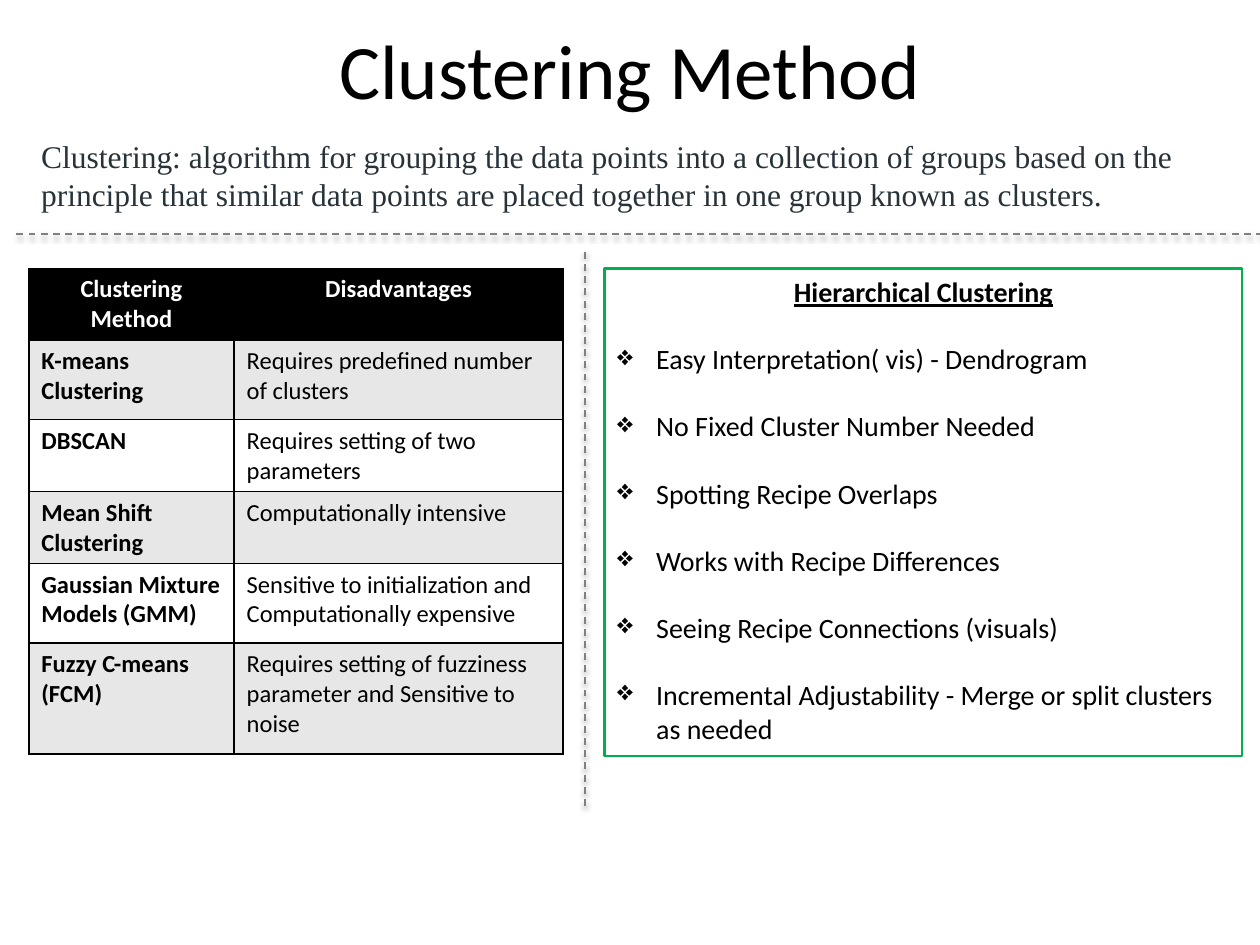
from dataclasses import dataclass

from lxml import etree
from pptx import Presentation
from pptx.dml.color import RGBColor
from pptx.enum.dml import MSO_LINE
from pptx.enum.shapes import MSO_CONNECTOR, MSO_SHAPE
from pptx.enum.text import MSO_ANCHOR, PP_ALIGN
from pptx.oxml import parse_xml
from pptx.oxml.ns import nsdecls, qn
from pptx.util import Cm, Pt

CENTER, LEFT = PP_ALIGN.CENTER, PP_ALIGN.LEFT
TOP, MIDDLE = MSO_ANCHOR.TOP, MSO_ANCHOR.MIDDLE
DASH = MSO_LINE.DASH
STRAIGHT = MSO_CONNECTOR.STRAIGHT
RECTANGLE = MSO_SHAPE.RECTANGLE

BLACK, WHITE, BAND = "000000", "FFFFFF", "E7E7E7"
SLATE, GRAY, GREEN = "273239", "808080", "00B050"


@dataclass
class Style:
    size: float
    color: str = BLACK
    font: str = "Calibri"
    bold: bool = False
    underline: bool = False
    align: PP_ALIGN = LEFT


@dataclass
class Area:
    left: float
    top: float
    width: float
    height: float

    def lengths(self) -> tuple:
        return Cm(self.left), Cm(self.top), Cm(self.width), Cm(self.height)


@dataclass
class Method:
    name: str
    drawback: str
    height: float


@dataclass
class Divider:
    x1: float
    y1: float
    x2: float
    y2: float


HEADER = Method("Clustering Method", "Disadvantages", 1.45)
METHODS = [
    Method("K-means Clustering", "Requires predefined number of clusters", 1.6),
    Method("DBSCAN", "Requires setting of two parameters", 1.45),
    Method("Mean Shift Clustering", "Computationally intensive", 1.45),
    Method("Gaussian Mixture Models (GMM)",
           "Sensitive to initialization and Computationally expensive", 1.6),
    Method("Fuzzy C-means (FCM)",
           "Requires setting of fuzziness parameter and Sensitive to noise", 2.24),
]
COLUMN_WIDTHS = (4.14, 6.63)
BENEFITS = [
    "Easy Interpretation( vis) - Dendrogram\u00a0".strip(),
    "No Fixed Cluster Number Needed",
    "Spotting Recipe Overlaps",
    "Works with Recipe Differences",
    "Seeing Recipe Connections (visuals)",
    "Incremental Adjustability - Merge or split clusters as needed",
]
DIVIDERS = [Divider(11.79, 5.08, 11.79, 16.26), Divider(0.33, 4.72, 25.4, 4.72)]


def rgb(code: str) -> RGBColor:
    return RGBColor.from_string(code)


def write(para, text: str, style: Style) -> None:
    para.text = text
    para.alignment = style.align
    for span in para.runs:
        font = span.font
        font.name, font.size = style.font, Pt(style.size)
        font.bold, font.underline = style.bold, style.underline
        font.color.rgb = rgb(style.color)


def add_text(page, area: Area, text: str, style: Style, anchor=TOP) -> None:
    frame = page.shapes.add_textbox(*area.lengths()).text_frame
    frame.word_wrap = True
    frame.vertical_anchor = anchor
    write(frame.paragraphs[0], text, style)


def add_borders(cell, color: str, width: float) -> None:
    properties = cell._tc.get_or_add_tcPr()
    for side in ("lnL", "lnR", "lnT", "lnB"):
        properties.append(parse_xml(
            f'<a:{side} {nsdecls("a")} w="{Pt(width)}"><a:solidFill>'
            f'<a:srgbClr val="{color}"/></a:solidFill></a:{side}>'))


def fill_cell(cell, text: str, style: Style, fill: str) -> None:
    add_borders(cell, BLACK, 1)
    cell.fill.solid()
    cell.fill.fore_color.rgb = rgb(fill)
    write(cell.text_frame.paragraphs[0], text, style)


def add_methods(page, left: float, top: float) -> None:
    rows = [HEADER, *METHODS]
    area = Area(left, top, sum(COLUMN_WIDTHS), sum(row.height for row in rows))
    table = page.shapes.add_table(len(rows), 2, *area.lengths()).table
    for column, width in zip(table.columns, COLUMN_WIDTHS):
        column.width = Cm(width)
    for index, row in enumerate(rows):
        table.rows[index].height = Cm(row.height)
        for column, text in enumerate((row.name, row.drawback)):
            if index == 0:
                style, fill = Style(14, WHITE, bold=True, align=CENTER), BLACK
            else:
                style = Style(14, bold=column == 0)
                fill = BAND if index % 2 else WHITE
            fill_cell(table.cell(index, column), text, style, fill)


def add_divider(page, divider: Divider) -> None:
    line = page.shapes.add_connector(
        STRAIGHT, Cm(divider.x1), Cm(divider.y1), Cm(divider.x2), Cm(divider.y2))
    line.line.color.rgb = rgb(GRAY)
    line.line.width = Pt(1)
    line.line.dash_style = DASH
    line._element.spPr.append(parse_xml(
        f'<a:effectLst {nsdecls("a")}><a:outerShdw blurRad="{Pt(3.1)}" '
        f'dist="{Pt(1.6)}" dir="5400000" rotWithShape="0"><a:srgbClr val="{BLACK}">'
        '<a:alpha val="38000"/></a:srgbClr></a:outerShdw></a:effectLst>'))


def add_bullet(para, symbol: str, indent: float) -> None:
    properties = para._p.get_or_add_pPr()
    properties.set("marL", str(Cm(indent)))
    properties.set("indent", str(-Cm(indent)))
    etree.SubElement(properties, qn("a:buChar")).set("char", symbol)


def add_benefits(page, area: Area) -> None:
    panel = page.shapes.add_shape(RECTANGLE, *area.lengths())
    panel.shadow.inherit = False
    panel.fill.background()
    panel.line.color.rgb = rgb(GREEN)
    panel.line.width = Pt(1.5)
    frame = panel.text_frame
    frame.word_wrap = True
    frame.vertical_anchor = TOP
    heading = Style(16, bold=True, underline=True, align=CENTER)
    write(frame.paragraphs[0], "Hierarchical Clustering", heading)
    for benefit in BENEFITS:
        para = frame.add_paragraph()
        add_bullet(para, "❖", 0.79)
        para.space_before = Pt(19.2)
        write(para, benefit, Style(16))


def main() -> None:
    deck = Presentation()
    deck.slide_width, deck.slide_height = Cm(25.4), Cm(19.05)
    page = deck.slides.add_slide(deck.slide_layouts[6])
    add_text(page, Area(0, 0, 25.4, 2.79), "Clustering Method",
             Style(44, align=CENTER), MIDDLE)
    add_methods(page, 0.58, 5.41)
    add_text(page, Area(0.58, 2.64, 24.21, 1.8),
             "Clustering: algorithm for grouping the data points into a collection "
             "of groups based on the principle that similar data points are placed "
             "together in one group known as clusters.",
             Style(18, SLATE, "Times New Roman"))
    for divider in DIVIDERS:
        add_divider(page, divider)
    add_benefits(page, Area(12.19, 5.41, 12.85, 9.83))
    deck.save("out.pptx")


if __name__ == "__main__":
    main()
